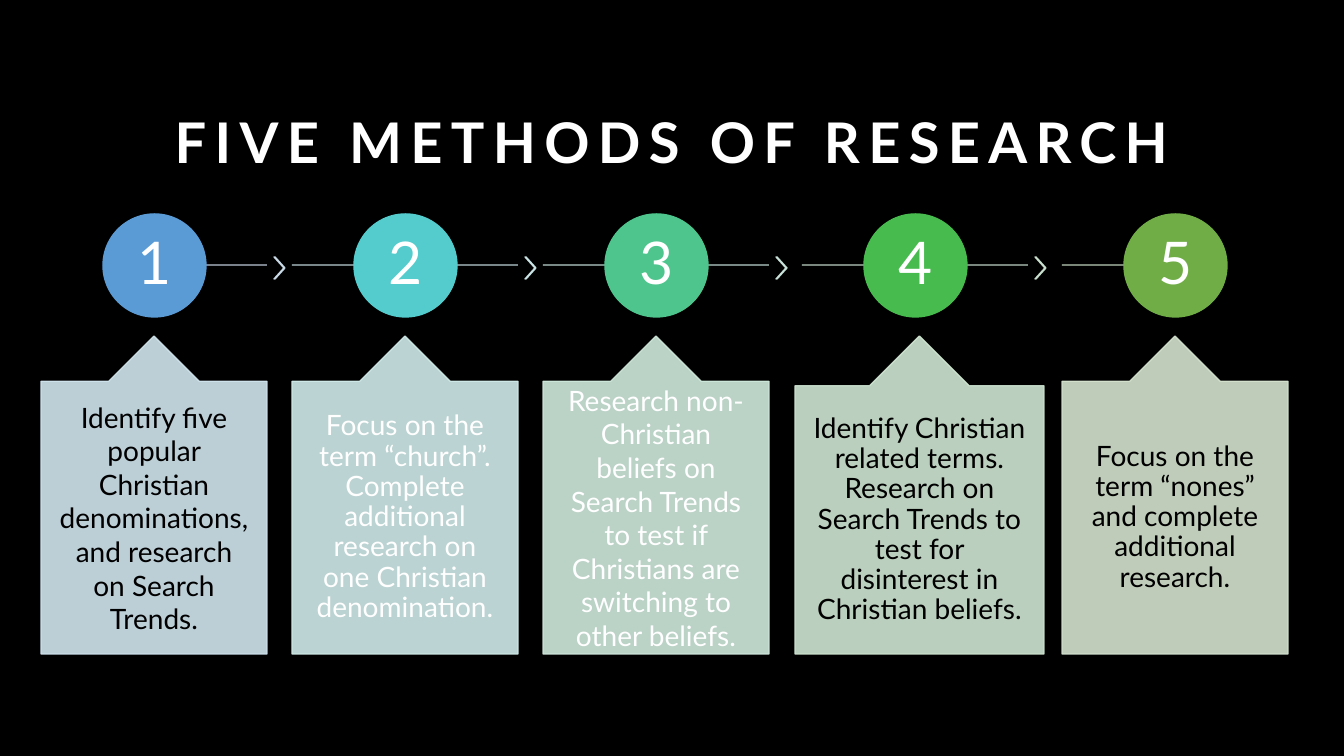
import collections
import dataclasses

import pptx
import pptx.dml.color
import pptx.enum.shapes
import pptx.enum.text
import pptx.oxml
import pptx.oxml.ns
import pptx.util

SHAPE = pptx.enum.shapes.MSO_SHAPE
ANCHOR = pptx.enum.text.MSO_ANCHOR
EMU_PER_PX = 914400 / 100.8


@dataclasses.dataclass(frozen=True)
class Theme:
    font: str = "Lato"
    background: str = "000000"
    light: str = "FFFFFF"
    dark: str = "000000"
    title_size: int = 40
    number_size: int = 42
    body_size: int = 20
    line_width: int = 1
    tint_alpha: int = 90


Step = collections.namedtuple(
    "Step", "center card_x card_w circle rail chevron card ink spacing text")

STEPS = [
    Step(154, 41, 226, "5B9BD5", "D2DEEF", "D1E1EF", "D1E5EE", "dark", 1.0,
         "Identify five popular Christian denominations, and research on "
         "Search Trends."),
    Step(405, 292, 226, "54CCCD", "D1E8ED", "D1EBEC", "D0EBE9", "light", 0.9,
         "Focus on the term “church”. Complete additional research on one "
         "Christian denomination."),
    Step(656, 543, 226, "4DC58D", "D0EAE5", "D0EAE1", "D0E9DD", "light", 1.0,
         "Research non-Christian beliefs on Search Trends to test if "
         "Christians are switching to other beliefs."),
    Step(915, 795, 249, "48BB4F", "D0E8D9", "D0E7D5", "CFE6D2", "dark", 0.9,
         "Identify Christian related terms. Research on Search Trends to test "
         "for disinterest in Christian beliefs."),
    Step(1175, 1062, 226, "70AD47", "D0E5CF", None, "D5E3CF", "dark", 0.9,
         "Focus on the term “nones” and complete additional research."),
]


def px(n):
    return pptx.util.Emu(round(n * EMU_PER_PX))


def rgb(color):
    return pptx.dml.color.RGBColor.from_string(color)


def apply(target, values):
    for name, value in values.items():
        setattr(target, name, value)


class Deck:
    def __init__(self, theme):
        self.theme = theme
        self.prs = pptx.Presentation()
        apply(self.prs, {"slide_width": px(1344), "slide_height": px(756)})
        self.s = self.prs.slides.add_slide(self.prs.slide_layouts[6])
        fill = self.s.background.fill
        fill.solid()
        fill.fore_color.rgb = rgb(theme.background)

    def tint(self, sp):
        """Make every solid colour of a shape slightly transparent."""
        for clr in sp._element.spPr.iter(pptx.oxml.ns.qn("a:srgbClr")):
            alpha = pptx.oxml.parse_xml(
                f'<a:alpha {pptx.oxml.ns.nsdecls("a")} '
                f'val="{self.theme.tint_alpha * 1000}"/>')
            clr.append(alpha)

    def label(self, sp, text, size, color, spacing, inset, anchor=ANCHOR.MIDDLE,
              bold=False):
        tf = sp.text_frame
        apply(tf, {"word_wrap": True, "vertical_anchor": anchor})
        apply(tf, {f"margin_{side}": px(inset)
                   for side in ("left", "top", "right", "bottom")})
        p = tf.paragraphs[0]
        apply(p, {"alignment": pptx.enum.text.PP_ALIGN.CENTER,
                  "line_spacing": spacing})
        r = p.add_run()
        r.text = text
        apply(r.font, {"name": self.theme.font, "bold": bold,
                       "size": pptx.util.Pt(size)})
        r.font.color.rgb = rgb(color)
        return r

    def title(self, text, x, y, w, h):
        sp = self.s.shapes.add_textbox(px(x), px(y), px(w), px(h))
        r = self.label(sp, text, self.theme.title_size, self.theme.light, 1.2, 5,
                       ANCHOR.BOTTOM, True)
        r.font._element.set("spc", "600")

    def shape(self, kind, x, y, w, h, color, adjustments=(), tinted=True):
        sp = self.s.shapes.add_shape(kind, px(x), px(y), px(w), px(h))
        sp.shadow.inherit = False
        for i, value in enumerate(adjustments):
            sp.adjustments[i] = value
        sp.fill.solid()
        sp.fill.fore_color.rgb = rgb(color)
        sp.line.color.rgb = rgb(color)
        sp.line.width = pptx.util.Pt(self.theme.line_width)
        if tinted:
            self.tint(sp)
        return sp

    def rail(self, x1, x2, y, color):
        c = self.s.shapes.add_connector(
            pptx.enum.shapes.MSO_CONNECTOR.STRAIGHT, px(x1), px(y), px(x2), px(y))
        c.line.color.rgb = rgb(color)
        c.line.width = pptx.util.Pt(self.theme.line_width)
        c._element.spPr.append(pptx.oxml.parse_xml(
            f'<a:effectLst {pptx.oxml.ns.nsdecls("a")}/>'))
        self.tint(c)

    def circle(self, number, center, y, d, color):
        sp = self.shape(SHAPE.OVAL, center - d // 2, y, d, d, color, tinted=False)
        self.label(sp, str(number), self.theme.number_size, self.theme.light, 0.9, 4)

    def card(self, step, y, h):
        sp = self.shape(SHAPE.UP_ARROW_CALLOUT, step.card_x, y, step.card_w, h,
                        step.card, (0.5, 0.2, 0.2, 1))
        self.label(sp, step.text, self.theme.body_size,
                   getattr(self.theme, step.ink), step.spacing, 18)


def main():
    deck = Deck(Theme())
    deck.title("FIVE METHODS OF RESEARCH", 168, 84, 1008, 96)

    # Each step: rail and chevron, numbered circle, callout card
    rail_half = 113
    for number, step in enumerate(STEPS, 1):
        start = step.center - (rail_half if number > 1 else 0)
        end = step.center + (rail_half if step.chevron else 0)
        deck.rail(start, end, 265, step.rail)
        if step.chevron:
            deck.shape(SHAPE.CHEVRON, end + 7, 257, 11, 22, step.chevron, (0.9,))
        deck.circle(number, step.center, 214, 103, step.circle)
        deck.card(step, 336, 318)

    deck.prs.save("out.pptx")


if __name__ == "__main__":
    main()
